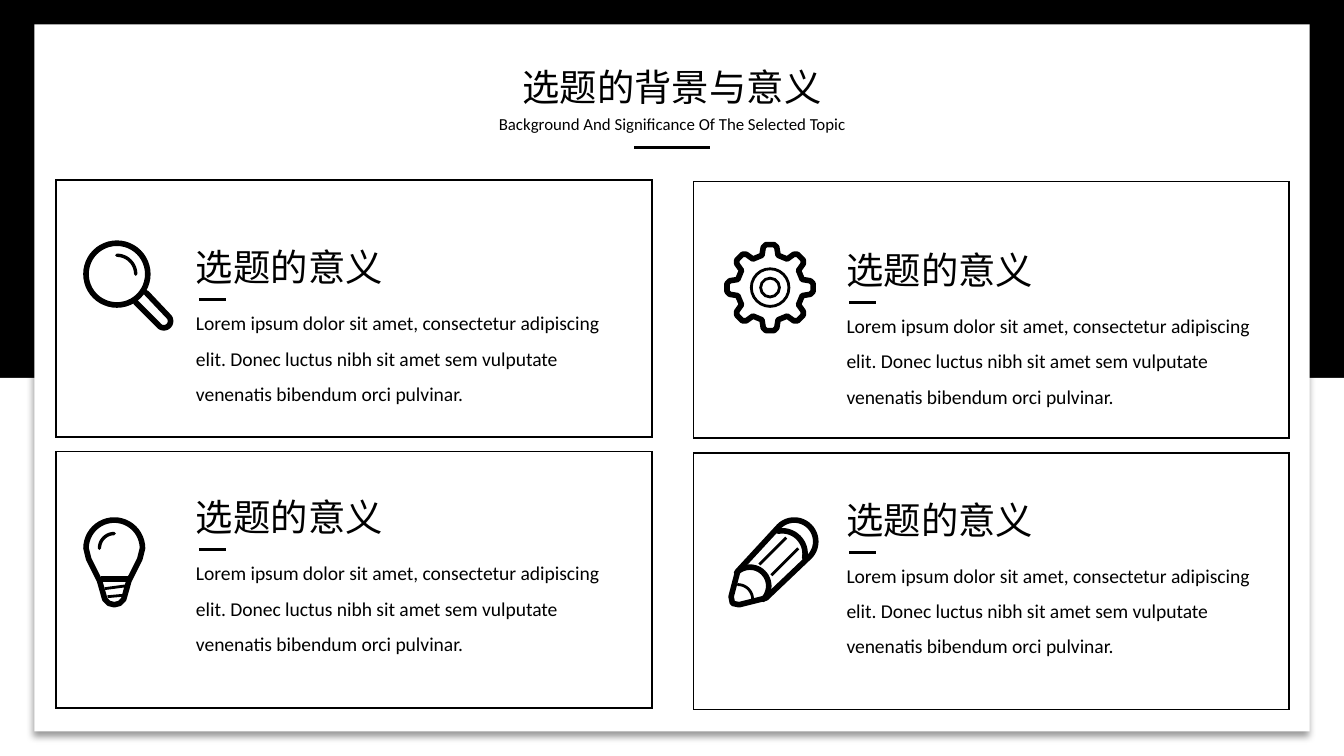
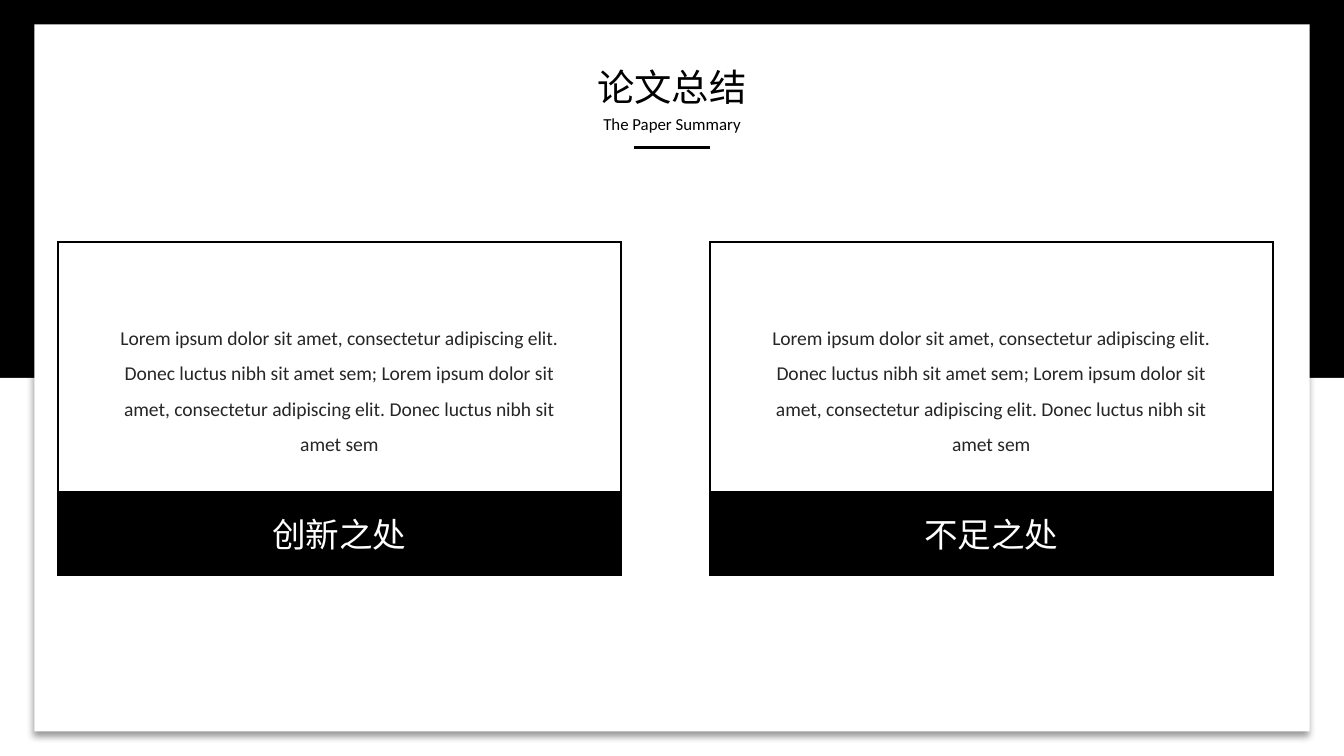
from math import cos, sin, radians

from lxml.etree import SubElement
from pptx import Presentation
from pptx.dml.color import RGBColor
from pptx.enum.shapes import MSO_CONNECTOR as CONN, MSO_SHAPE as SHAPE
from pptx.enum.text import MSO_ANCHOR as ANCHOR, MSO_AUTO_SIZE as AUTO, PP_ALIGN as ALIGN
from pptx.oxml.ns import qn
from pptx.util import Inches, Pt

# Shared look
SLIDE_W = 10
SLIDE_H = SLIDE_W * 9 / 16
BLACK = RGBColor(0x00, 0x00, 0x00)
WHITE = RGBColor(0xFF, 0xFF, 0xFF)
GREY = RGBColor(0x26, 0x26, 0x26)
LATIN, CJK = "Calibri", "Noto Sans CJK SC"
THICK, THIN = 3, 1.5

CARD_TITLE = "选题的意义"
CARD_TEXT = ("Lorem ipsum dolor sit amet, consectetur adipiscing elit. "
             "Donec luctus nibh sit amet sem vulputate venenatis bibendum orci pulvinar.")
SUMMARY_TEXT = ("Lorem ipsum dolor sit amet, consectetur adipiscing elit. "
                "Donec luctus nibh sit amet sem; Lorem ipsum dolor sit amet, "
                "consectetur adipiscing elit. Donec luctus nibh sit amet sem")


# Basic elements
def shape(s, kind, x, y, w, h, fill=None, line=None, width=1):
    sp = s.shapes.add_shape(kind, Inches(x), Inches(y), Inches(w), Inches(h))
    sp.shadow.inherit = False
    if fill is None:
        sp.fill.background()
    else:
        sp.fill.solid()
        sp.fill.fore_color.rgb = fill
    if line is None:
        sp.line.fill.background()
    else:
        sp.line.color.rgb = line
        sp.line.width = Pt(width)
        SubElement(sp._element.spPr.find(qn("a:ln")), qn("a:miter"), lim="800000")
    return sp


def rect(s, *args, **kwargs):
    return shape(s, SHAPE.RECTANGLE, *args, **kwargs)


def line(s, x1, y1, x2, y2, width=THIN):
    c = s.shapes.add_connector(CONN.STRAIGHT, Inches(x1), Inches(y1), Inches(x2), Inches(y2))
    c.line.color.rgb = BLACK
    c.line.width = Pt(width)
    SubElement(c._element.spPr, qn("a:effectLst"))


def write(tf, text, size, font, color=BLACK, align=ALIGN.LEFT, spacing=None):
    p = tf.paragraphs[0]
    p.text = text
    p.alignment = align
    if spacing:
        p.line_spacing = spacing
    p.font.size = Pt(size)
    p.font.color.rgb = color
    p.font.name = font
    SubElement(p._p.pPr.find(qn("a:defRPr")), qn("a:ea"), typeface=font)


def text_box(s, x, y, w, h, text, size, font, wrap=False, **kwargs):
    tf = s.shapes.add_textbox(Inches(x), Inches(y), Inches(w), Inches(h)).text_frame
    tf.word_wrap = wrap
    tf.auto_size = AUTO.SHAPE_TO_FIT_TEXT
    write(tf, text, size, font, **kwargs)


# Icon strokes, in inches from the icon's top left corner
def arc(cx, cy, r, start, end, steps=24):
    angles = [radians(start + (end - start) * i / steps) for i in range(steps + 1)]
    return [(cx + r * cos(a), cy + r * sin(a)) for a in angles]


def stroke(s, x, y, points, width=THICK, closed=False):
    pts = [(Inches(x + px), Inches(y + py)) for px, py in points]
    builder = s.shapes.build_freeform(*pts[0])
    builder.add_line_segments(pts[1:], close=closed)
    sp = builder.convert_to_shape()
    sp.shadow.inherit = False
    sp.fill.background()
    sp.line.color.rgb = BLACK
    sp.line.width = Pt(width)
    ln = sp._element.spPr.find(qn("a:ln"))
    ln.set("cap", "rnd")
    SubElement(ln, qn("a:round"))


def ring(s, cx, cy, r, width):
    shape(s, SHAPE.OVAL, cx - r, cy - r, 2 * r, 2 * r, line=BLACK, width=width)


def magnifier(s, x, y):
    ring(s, x + 0.25, y + 0.25, 0.23, THICK)
    stroke(s, x, y, arc(0.25, 0.25, 0.14, -90, 0), THIN + 0.3)
    stroke(s, x, y, [(0.47, 0.39)] + arc(0.6, 0.6, 0.05, -45, 135) + [(0.39, 0.46)])


def gear(s, x, y):
    c = 0.33
    tooth = [(-0.06, 0.24), (-0.05, 0.3), (-0.03, 0.32),
             (0.03, 0.32), (0.05, 0.3), (0.06, 0.24)]
    outline = []
    for i in range(8):
        a = radians(45 * i)
        outline += [(c + v * cos(a) + r * sin(a), c + v * sin(a) - r * cos(a))
                    for v, r in tooth]
    stroke(s, x, y, outline, closed=True)
    for r in (0.14, 0.07):
        ring(s, x + c, y + c, r, THIN)


def bulb(s, x, y):
    c = 0.23
    side = [(0.19, 0.31), (0.15, 0.39), (0.11, 0.47), (0.07, 0.61), (0.04, 0.64)]
    outline = arc(c, c, 0.21, 180, 360)
    outline += [(c + dx, dy) for dx, dy in side] + [(c, 0.65)]
    outline += [(c - dx, dy) for dx, dy in reversed(side)]
    stroke(s, x, y, outline, closed=True)
    stroke(s, x, y, arc(c, c, 0.11, 180, 270), THIN + 0.3)
    line(s, x + 0.13, y + 0.46, x + 0.33, y + 0.46, THICK)
    line(s, x + 0.16, y + 0.53, x + 0.31, y + 0.51)
    line(s, x + 0.18, y + 0.59, x + 0.29, y + 0.58)


def pencil(s, x, y):
    outline = [(0.02, 0.59), (0.07, 0.4)] + arc(0.49, 0.18, 0.16, -135, 45)
    outline += [(0.28, 0.6), (0.08, 0.65), (0.03, 0.64)]
    stroke(s, x, y, outline, closed=True)
    stroke(s, x, y, arc(0.4, 0.27, 0.17, -100, 10))
    stroke(s, x, y, arc(0.16, 0.51, 0.14, -135, 45))
    stroke(s, x, y, arc(0.07, 0.61, 0.11, -90, 0), THIN)
    line(s, x + 0.23, y + 0.35, x + 0.43, y + 0.15)
    line(s, x + 0.32, y + 0.43, x + 0.52, y + 0.23)


# Slide parts
def base_slide(prs, title, title_w, subtitle, subtitle_w):
    s = prs.slides.add_slide(prs.slide_layouts[6])
    s.background.fill.solid()
    s.background.fill.fore_color.rgb = BLACK
    rect(s, 0, SLIDE_H / 2, SLIDE_W, SLIDE_H / 2, fill=WHITE)
    panel_w, panel_h = 9.49, 5.26
    panel = rect(s, (SLIDE_W - panel_w) / 2, (SLIDE_H - panel_h) / 2, panel_w, panel_h,
                 fill=WHITE)
    shadow = SubElement(panel._element.spPr.find(qn("a:effectLst")), qn("a:outerShdw"),
                        blurRad=str(Pt(4)), dist=str(Pt(3)), dir="5400000",
                        algn="t", rotWithShape="0")
    color = SubElement(shadow, qn("a:srgbClr"), val=str(BLACK))
    SubElement(color, qn("a:alpha"), val="40000")
    for text, w, y, h, size, font in ((title, title_w, 0.43, 0.44, 20, CJK),
                                      (subtitle, subtitle_w, 0.8, 0.25, 9, LATIN)):
        text_box(s, (SLIDE_W - w) / 2, y, w, h, text, size, font, align=ALIGN.CENTER)
    line(s, 4.72, 1.1, 5.28, 1.1)
    return s


def topic_card(s, x, y, text_x, text_y, icon, icon_x, icon_y):
    text_box(s, text_x, text_y, 1.6, 0.44, CARD_TITLE, 20, CJK)
    text_box(s, text_x, text_y + 0.41, 3.29, 0.87, CARD_TEXT, 10.5, LATIN,
             wrap=True, spacing=1.5)
    line(s, text_x + 0.12, text_y + 0.46, text_x + 0.32, text_y + 0.46)
    icon(s, icon_x, icon_y)
    rect(s, x, y, 4.43, 1.91, line=BLACK)


def summary_card(s, x, label):
    rect(s, x, 1.8, 4.19, 2.47, line=BLACK)
    band = rect(s, x, 3.66, 4.19, 0.62, fill=BLACK, line=BLACK)
    band.text_frame.vertical_anchor = ANCHOR.MIDDLE
    write(band.text_frame, label, 18, CJK, color=WHITE, align=ALIGN.CENTER)
    text_box(s, x + 0.34, 2.29, 3.51, 1.13, SUMMARY_TEXT, 10.5, LATIN, wrap=True,
             color=GREY, align=ALIGN.CENTER, spacing=1.5)


def main():
    prs = Presentation()
    prs.slide_width, prs.slide_height = Inches(SLIDE_W), Inches(SLIDE_H)

    # Background and significance
    s = base_slide(prs, "选题的背景与意义", 2.45,
                   "Background And Significance Of The Selected Topic", 2.8)
    topic_card(s, 0.42, 1.34, 1.36, 1.77, magnifier, 0.62, 1.79)
    topic_card(s, 5.16, 1.35, 6.2, 1.79, gear, 5.4, 1.81)
    topic_card(s, 0.42, 3.36, 1.36, 3.63, bulb, 0.62, 3.85)
    topic_card(s, 5.16, 3.37, 6.2, 3.65, pencil, 5.42, 3.85)

    # Summary
    s = base_slide(prs, "论文总结", 1.32, "The Paper Summary", 1.23)
    for x, label in ((0.43, "创新之处"), (5.28, "不足之处")):
        summary_card(s, x, label)

    prs.save("out.pptx")


if __name__ == "__main__":
    main()
